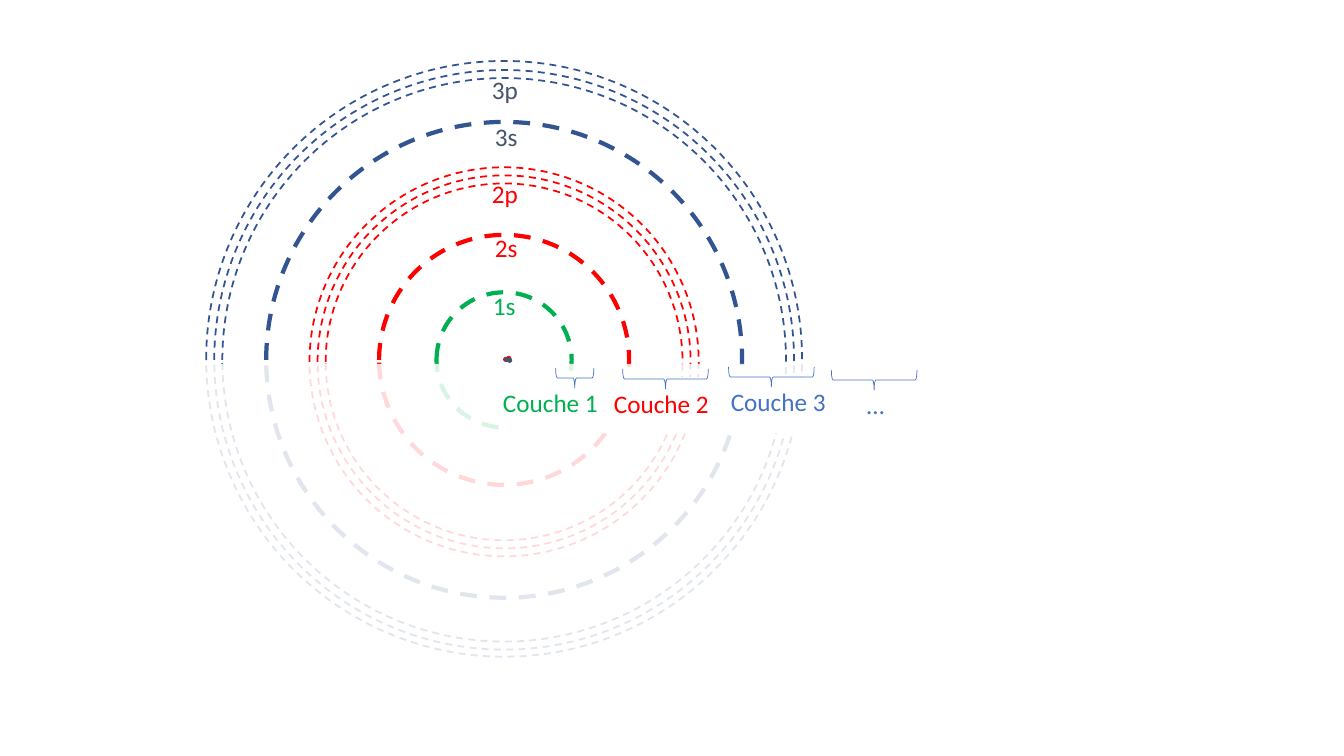
import pptx
import pptx.dml.color
import pptx.enum.dml
import pptx.enum.shapes
import pptx.enum.text
import pptx.oxml
import pptx.oxml.ns
import pptx.util
from pptx.util import Inches

COLOURS = {
    "green": "00B050",
    "red": "FF0000",
    "navy": "325491",
    "slate": "44546A",
    "blue": "4472C4",
    "white": "FFFFFF",
}
SHAPES = pptx.enum.shapes.MSO_SHAPE
CENTRE_X = 5.0
CENTRE_Y = 3.57
THICK = 3
THIN = 1.25


def colour(name):
    return pptx.dml.color.RGBColor.from_string(COLOURS[name])


class ShellDiagram:
    """Draws electron shells, labels and braces on one slide."""

    def __init__(self, slide, font="Calibri", size=18):
        self.slide = slide
        self.font = font
        self.size = size

    def shape(self, kind, left, top, width, height, fill=None, line=None, weight=1):
        shape = self.slide.shapes.add_shape(
            kind, Inches(left), Inches(top), Inches(width), Inches(height))
        shape.shadow.inherit = False
        if fill:
            shape.fill.solid()
            shape.fill.fore_color.rgb = colour(fill)
        else:
            shape.fill.background()
        if line:
            shape.line.color.rgb = colour(line)
            shape.line.width = pptx.util.Pt(weight)
        else:
            shape.line.fill.background()
        return shape

    def orbit(self, diameter, line, weight, centre_y=CENTRE_Y):
        radius = diameter / 2
        ring = self.shape(SHAPES.OVAL, CENTRE_X - radius, centre_y - radius,
                          diameter, diameter, line=line, weight=weight)
        ring.line.dash_style = pptx.enum.dml.MSO_LINE.DASH

    def veil(self, left, top, width, height, opacity=100):
        cover = self.shape(SHAPES.RECTANGLE, left, top, width, height, fill="white")
        if opacity < 100:
            namespace = pptx.oxml.ns.nsdecls("a")
            alpha = pptx.oxml.parse_xml(f'<a:alpha {namespace} val="{opacity * 1000}"/>')
            cover.fill._xPr.find(".//" + pptx.oxml.ns.qn("a:srgbClr")).append(alpha)

    def particle(self, left, top, fill):
        self.shape(SHAPES.OVAL, left, top, 0.05, 0.05, fill=fill)

    def brace(self, centre_x, centre_y, span, depth=0.2):
        brace = self.shape(SHAPES.RIGHT_BRACE, centre_x - depth / 2, centre_y - span / 2,
                           depth, span, line="blue", weight=0.5)
        brace.rotation = 90

    def label(self, text, left, top, width=0.47, height=0.4, fill="blue"):
        box = self.slide.shapes.add_textbox(
            Inches(left), Inches(top), Inches(width), Inches(height))
        frame = box.text_frame
        frame.word_wrap = True
        frame.auto_size = pptx.enum.text.MSO_AUTO_SIZE.SHAPE_TO_FIT_TEXT
        paragraph = frame.paragraphs[0]
        run = paragraph.add_run()
        run.text = text
        run.font.name = self.font
        run.font.size = pptx.util.Pt(self.size)
        run.font.color.rgb = colour(fill)


def main():
    presentation = pptx.Presentation()
    presentation.slide_width = Inches(13.33)
    presentation.slide_height = Inches(7.5)
    slide = presentation.slides.add_slide(presentation.slide_layouts[6])
    diagram = ShellDiagram(slide)

    for diameter, line in ((1.34, "green"), (2.48, "red")):
        diagram.orbit(diameter, line, THICK)
    for diameter in (3.54, 3.86, 3.7):
        diagram.orbit(diameter, "red", THIN, centre_y=3.59)
    diagram.orbit(4.72, "navy", THICK)
    for diameter, centre_y in ((5.59, 3.57), (5.75, 3.57), (5.91, 3.56)):
        diagram.orbit(diameter, "navy", THIN, centre_y=centre_y)

    for text, left, top, fill in (
        ("1s", 4.79, 2.83, "green"),
        ("2s", 4.81, 2.26, "red"),
        ("2p", 4.78, 1.72, "red"),
        ("3s", 4.81, 1.15, "slate"),
        ("3p", 4.78, 0.69, "slate"),
    ):
        diagram.label(text, left, top, fill=fill)

    diagram.veil(1.42, 3.61, 7.15, 3.59, opacity=85)
    diagram.veil(5.02, 3.74, 3.65, 0.56)

    for left, top, fill in (
        (4.99, 3.54, "red"),
        (5.02, 3.53, "red"),
        (5.03, 3.55, "slate"),
        (5.0, 3.54, "slate"),
    ):
        diagram.particle(left, top, fill)

    for text, left, top, width, fill, brace_x, brace_y, span in (
        ("Couche 3", 7.15, 3.78, 1.36, "blue", 7.65, 3.74, 0.85),
        ("Couche 2", 5.99, 3.8, 1.36, "red", 6.6, 3.76, 0.85),
        ("Couche 1", 4.89, 3.79, 1.36, "green", 5.7, 3.75, 0.38),
        ("…", 8.5, 3.81, 0.77, "blue", 8.67, 3.77, 0.85),
    ):
        diagram.brace(brace_x, brace_y, span)
        diagram.label(text, left, top, width=width, fill=fill)

    presentation.save("out.pptx")


if __name__ == "__main__":
    main()
